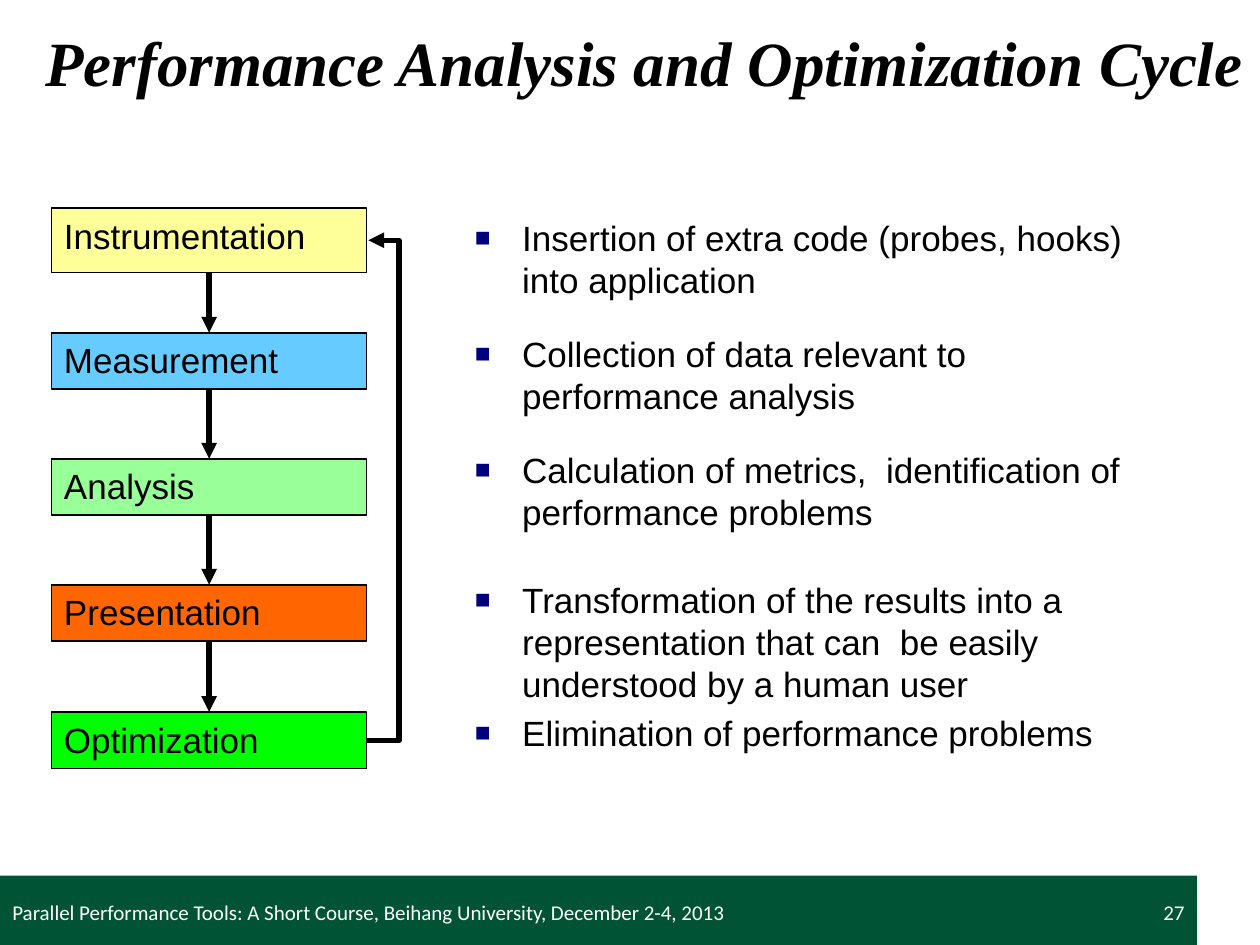
import pptx
import pptx.dml.color
import pptx.enum.shapes
import pptx.enum.text
import pptx.oxml
import pptx.oxml.ns
import pptx.util
import lxml.etree

Pt = pptx.util.Pt
qn = pptx.oxml.ns.qn
ANCHOR = pptx.enum.text.MSO_ANCHOR
ALIGN = pptx.enum.text.PP_ALIGN
CONNECTOR = pptx.enum.shapes.MSO_CONNECTOR

COLOURS = {
    "text": "000000",
    "line": "000000",
    "bullet": "00007D",
    "footer": "005334",
    "footer text": "FFFFFF",
    "Instrumentation": "FFFF99",
    "Measurement": "66CCFF",
    "Analysis": "99FF99",
    "Presentation": "FF6600",
    "Optimization": "00FF00",
}

# Stage name, top offset and height within the flow chart
STAGES = [
    ("Instrumentation", 0, 37),
    ("Measurement", 71.3, 32.4),
    ("Analysis", 143.3, 32.4),
    ("Presentation", 215.3, 32.4),
    ("Optimization", 288, 32.4),
]

# Space before and text of each description
DESCRIPTIONS = [
    (0, "Insertion of extra code (probes, hooks)\ninto application"),
    (18.3, "Collection of data relevant to\nperformance analysis"),
    (18.3, "Calculation of metrics,  identification of\nperformance problems"),
    (26.3, "Transformation of the results into a\n"
           "representation that can  be easily\nunderstood by a human user"),
    (4, "Elimination of performance problems"),
]


def colour(name):
    return pptx.dml.color.RGBColor.from_string(COLOURS[name])


def place(shape, left, top, width, height):
    shape.left, shape.top = Pt(left), Pt(top)
    shape.width, shape.height = Pt(width), Pt(height)


def format_frame(shape, anchor=ANCHOR.TOP, side=7.2, end=3.6):
    frame = shape.text_frame
    frame.word_wrap = True
    frame.auto_size = pptx.enum.text.MSO_AUTO_SIZE.NONE
    frame.vertical_anchor = anchor
    frame.margin_left = frame.margin_right = Pt(side)
    frame.margin_top = frame.margin_bottom = Pt(end)
    return frame


def write(paragraph, text, size=20, font="Arial", fill="text",
          bold=False, italic=False, align=ALIGN.LEFT):
    paragraph.alignment = align
    for index, line in enumerate(text.split("\n")):
        if index:
            paragraph.add_line_break()
        run = paragraph.add_run()
        run.text = line
        run.font.size, run.font.name = Pt(size), font
        run.font.bold, run.font.italic = bold, italic
        run.font.color.rgb = colour(fill)


def add_bullet(paragraph, indent):
    properties = paragraph._p.get_or_add_pPr()
    properties.set("marL", str(Pt(indent)))
    properties.set("indent", str(-Pt(indent)))
    bullet_colour = lxml.etree.SubElement(properties, qn("a:buClr"))
    lxml.etree.SubElement(bullet_colour, qn("a:srgbClr"), val=COLOURS["bullet"])
    lxml.etree.SubElement(properties, qn("a:buSzPct"), val="75000")
    lxml.etree.SubElement(properties, qn("a:buFont"), typeface="Arial")
    lxml.etree.SubElement(properties, qn("a:buChar"), char="■")


def add_box(slide, left, top, width, height, fill, outline=False):
    shape = slide.shapes.add_shape(
        pptx.enum.shapes.MSO_SHAPE.RECTANGLE,
        Pt(left), Pt(top), Pt(width), Pt(height))
    shape.shadow.inherit = False
    shape.fill.solid()
    shape.fill.fore_color.rgb = colour(fill)
    if outline:
        shape.line.color.rgb = colour("line")
        shape.line.width = Pt(1)
    else:
        shape.line.fill.background()
    return shape


def add_arrow(slide, kind, start_x, start_y, end_x, end_y):
    arrow = slide.shapes.add_connector(
        kind, Pt(start_x), Pt(start_y), Pt(end_x), Pt(end_y))
    arrow.line.color.rgb = colour("line")
    arrow.line.width = Pt(3)
    lxml.etree.SubElement(arrow.line._get_or_add_ln(), qn("a:tailEnd"), type="triangle")
    lxml.etree.SubElement(arrow._element.spPr, qn("a:effectLst"))
    return arrow


def add_title(slide, left, top, width, height):
    title = slide.shapes.title
    place(title, left, top, width, height)
    frame = format_frame(title, ANCHOR.MIDDLE)
    frame.margin_right = 0
    write(frame.paragraphs[0], "Performance Analysis and Optimization Cycle",
          size=36, font="Times New Roman", bold=True, italic=True)


def add_flow_chart(slide, left, top, width):
    centre, right = left + width / 2, left + width
    previous_bottom = None
    for name, offset, height in STAGES:
        stage_top = top + offset
        box = add_box(slide, left, stage_top, width, height, name, outline=True)
        write(format_frame(box).paragraphs[0], name)
        if previous_bottom is not None:
            add_arrow(slide, CONNECTOR.STRAIGHT, centre, previous_bottom, centre, stage_top)
        previous_bottom = stage_top + height

    # Feedback arrow from the last stage round to the first
    first_middle, last_middle = (
        top + offset + height / 2 for name, offset, height in (STAGES[0], STAGES[-1]))
    run, reach = 1, 18.7
    feedback = add_arrow(slide, CONNECTOR.ELBOW, right, last_middle, right + run, first_middle)
    guides = feedback._element.spPr.find(qn("a:prstGeom")).get_or_add_avLst()
    lxml.etree.SubElement(guides, qn("a:gd"), name="adj1",
                          fmla=f"val {round(reach / run * 100000)}")


def add_descriptions(slide, left, top, width, height):
    body = slide.placeholders[1]
    place(body, left, top, width, height)
    frame = format_frame(body)
    for index, (space, text) in enumerate(DESCRIPTIONS):
        paragraph = frame.add_paragraph() if index else frame.paragraphs[0]
        paragraph.line_spacing = Pt(24)
        paragraph.space_before = Pt(space)
        paragraph.space_after = Pt(0)
        add_bullet(paragraph, 27)
        write(paragraph, text)


def add_footer(slide, left, top, width, height):
    add_box(slide, left, top, width, height, "footer")
    number_width = 168
    parts = [
        (left, 474, ALIGN.LEFT,
         "Parallel Performance Tools: A Short Course, Beihang University, December 2-4, 2013"),
        (left + width - number_width, number_width, ALIGN.RIGHT, "27"),
    ]
    for part_left, part_width, align, text in parts:
        box = slide.shapes.add_textbox(
            Pt(part_left), Pt(top + 1.6), Pt(part_width), Pt(height - 1.6))
        frame = format_frame(box, ANCHOR.MIDDLE, end=7.2)
        write(frame.paragraphs[0], text, size=12, font="Calibri",
              fill="footer text", align=align)


def main():
    presentation = pptx.Presentation()
    presentation.slide_width, presentation.slide_height = Pt(720), Pt(540)
    slide = presentation.slides.add_slide(presentation.slide_layouts[1])
    add_footer(slide, 0, 500.4, 684, 39.6)
    add_title(slide, 18.7, 0.7, 701.3, 69)
    add_flow_chart(slide, 29.5, 118.8, 180)
    add_descriptions(slide, 264.2, 120.2, 444.2, 383.8)
    presentation.save("out.pptx")


if __name__ == "__main__":
    main()
